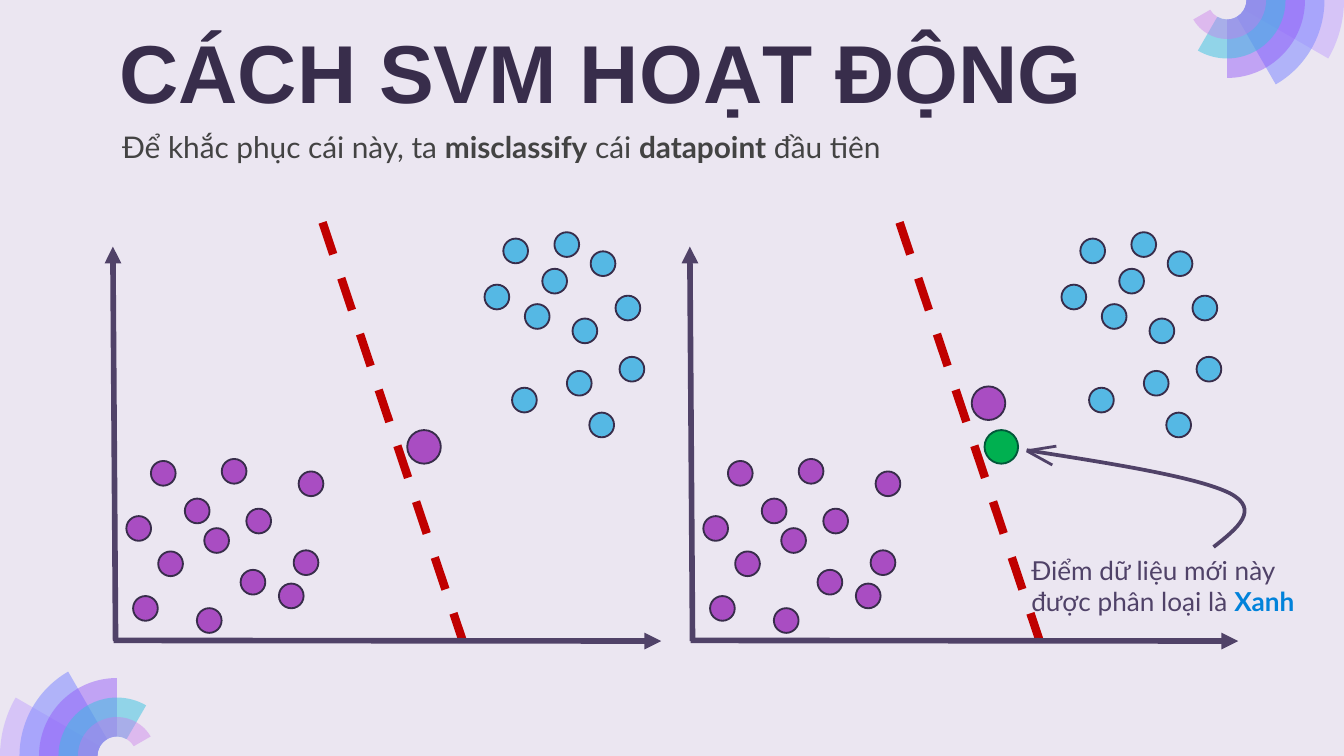
"""Build a slide comparing two support vector machine scatter plots."""
from dataclasses import dataclass
from math import cos, radians, sin, tan
from typing import Optional

from pptx import Presentation
from pptx.dml.color import RGBColor
from pptx.enum.dml import MSO_LINE
from pptx.enum.shapes import MSO_CONNECTOR, MSO_SHAPE
from pptx.enum.text import MSO_AUTO_SIZE, PP_ALIGN
from pptx.oxml.xmlchemy import OxmlElement
from pptx.util import Inches, Pt

COLUMNS, ROWS = 100, 56.25
INK, AXIS, RED = "382D4B", "504268", "C00000"
PURPLE, BLUE, GREEN = "A94DC2", "55B8E4", "00B050"
DOT, BIG_DOT = 1.84, 2.5
PANEL_STEP = 42.93
RING = 1.45
WEDGES = [("C8ACFD", 58), ("878FFF", 58), ("9154F8", 46), ("35C2DF", 49), ("CA7BEB", 42)]
PURPLE_DOTS = [(9.9, 44.35), (11.77, 41.03), (9.4, 38.4), (11.23, 34.3), (13.75, 37.1),
               (15.2, 39.3), (17.9, 42.4), (14.65, 45.25), (16.5, 34.15), (18.33, 37.85),
               (22.22, 35.08), (21.85, 40.95), (20.75, 43.42)]
BLUE_DOTS = [(43.95, 18.7), (45.8, 22.0), (46.1, 26.55), (43.85, 30.7), (38.1, 28.85),
             (42.6, 23.7), (42.18, 27.6), (39.05, 22.63), (40.35, 20.0), (41.25, 17.28),
             (37.45, 17.75), (36.05, 21.18)]
CALLOUT = [(90.3, 40.7), (92.1, 39.3), (93.8, 37.9), (91.5, 36.7),
           (89.1, 35.5), (82.8, 34.5), (76.4, 33.5)]

Point = tuple[float, float]


@dataclass
class Span:
    text: str
    bold: bool = False
    color: Optional[str] = None


@dataclass
class TextBlock:
    place: tuple[float, float, float, float]
    spans: list[Span]
    font: str
    size: float
    color: str
    align: PP_ALIGN = PP_ALIGN.LEFT
    top_inset: float = 0.5
    grow: bool = True


@dataclass
class Stroke:
    start: Point
    end: Point
    color: str
    width: float
    dashed: bool = False
    arrow: bool = False


def grid(cells: float) -> int:
    """Convert grid cells to a slide length."""
    return Inches(cells / 10)


def paint(target, color: str) -> None:
    """Give a fill a solid colour."""
    target.solid()
    target.fore_color.rgb = RGBColor.from_string(color)


def curve_point(knots: list[Point], t: float) -> Point:
    """Find the point at share t of a cubic curve."""
    weights = ((1 - t) ** 3, 3 * t * (1 - t) ** 2, 3 * t * t * (1 - t), t ** 3)
    return tuple(sum(w * knot[axis] for w, knot in zip(weights, knots)) for axis in (0, 1))


def draw_curves(page, runs: list[list[Point]], close: bool):
    """Draw runs of cubic curves joined by straight lines."""
    samples = [curve_point(run[i:i + 4], step / 20) for run in runs
               for i in range(0, len(run) - 1, 3) for step in range(21)]
    (left, right), (top, bottom) = [(min(v), max(v)) for v in zip(*samples)]
    builder = page.shapes.build_freeform(grid(left), grid(top))
    builder.add_line_segments([(grid(right), grid(bottom))], close=close)
    shape = builder.convert_to_shape()
    shape.shadow.inherit = False
    outline = shape._element.find(".//{*}pathLst")[0]
    for command in list(outline)[:2]:
        outline.remove(command)
    commands = []
    for number, run in enumerate(runs):
        commands.append(("a:lnTo" if number else "a:moveTo", run[:1]))
        commands += [("a:cubicBezTo", run[i:i + 3]) for i in range(1, len(run), 3)]
    for index, (tag, points) in enumerate(commands):
        command = OxmlElement(tag)
        for x, y in points:
            point = OxmlElement("a:pt")
            point.set("x", str(grid(x) - grid(left)))
            point.set("y", str(grid(y) - grid(top)))
            command.append(point)
        outline.insert(index, command)
    return shape


def arc(center: Point, radius: float, start: int, end: int) -> list[Point]:
    """List the knots of an arc, one cubic curve per quarter turn."""
    knots = []
    for first in range(start, end, 90):
        a, b = radians(first), radians(min(first + 90, end))
        k = 4 / 3 * tan((b - a) / 4)
        units = [(cos(a), sin(a)), (cos(a) - k * sin(a), sin(a) + k * cos(a)),
                 (cos(b) + k * sin(b), sin(b) - k * cos(b)), (cos(b), sin(b))]
        knots += units[1:] if knots else units
    return [(center[0] + radius * x, center[1] + radius * y) for x, y in knots]


def draw_fan(page, center: Point, start: int) -> None:
    """Draw overlapping ring wedges that shrink as they sweep further."""
    for index, (color, opacity) in enumerate(WEDGES):
        end = start + 30 * (index + 1)
        outer = arc(center, RING * (6 - index), start, end)
        inner = arc(center, RING, start, end)
        shape = draw_curves(page, [outer, inner[::-1]], True)
        paint(shape.fill, color)
        alpha = OxmlElement("a:alpha")
        alpha.set("val", str(opacity * 1000))
        shape.fill._xPr.find(".//{*}srgbClr").append(alpha)
        shape.line.fill.background()


def draw_stroke(page, stroke: Stroke, shift: float = 0) -> None:
    """Draw a straight line, optionally dashed or with an arrowhead."""
    (x1, y1), (x2, y2) = stroke.start, stroke.end
    line = page.shapes.add_connector(MSO_CONNECTOR.STRAIGHT, grid(x1 + shift), grid(y1),
                                     grid(x2 + shift), grid(y2))
    paint(line.line.fill, stroke.color)
    line.line.width = Pt(stroke.width)
    if stroke.dashed:
        line.line.dash_style = MSO_LINE.DASH
    if stroke.arrow:
        tail = OxmlElement("a:tailEnd")
        tail.set("type", "triangle")
        line.line._get_or_add_ln().append(tail)
    line._element.spPr.append(OxmlElement("a:effectLst"))


def draw_dot(page, corner: Point, size: float, color: str, outline: str = INK) -> None:
    """Draw one data point."""
    dot = page.shapes.add_shape(MSO_SHAPE.OVAL, *map(grid, (*corner, size, size)))
    dot.shadow.inherit = False
    paint(dot.fill, color)
    paint(dot.line.fill, outline)
    dot.line.width = Pt(1)


def draw_panel(page, shift: float) -> None:
    """Draw the boundary, axes and both clusters of one plot."""
    draw_stroke(page, Stroke((24, 16.55), (34.45, 47.75), RED, 4.5, dashed=True), shift)
    draw_stroke(page, Stroke((8.6, 47.7), (8.4, 18.35), AXIS, 3, arrow=True), shift)
    draw_stroke(page, Stroke((8.45, 47.65), (49.2, 47.7), AXIS, 3, arrow=True), shift)
    for corners, color in ((PURPLE_DOTS, PURPLE), (BLUE_DOTS, BLUE)):
        for x, y in corners:
            draw_dot(page, (x + shift, y), DOT, color)


def draw_text(page, block: TextBlock) -> None:
    """Draw a text box with one paragraph of spans."""
    box = page.shapes.add_textbox(*map(grid, block.place))
    frame = box.text_frame
    frame.word_wrap = True
    frame.margin_top = grid(block.top_inset)
    frame.auto_size = MSO_AUTO_SIZE.SHAPE_TO_FIT_TEXT if block.grow else MSO_AUTO_SIZE.NONE
    para = frame.paragraphs[0]
    para.alignment = block.align
    para.font.name, para.font.size = block.font, Pt(block.size)
    paint(para.font.fill, block.color)
    for span in block.spans:
        run = para.add_run()
        run.text = span.text
        run.font.bold = span.bold
        if span.color:
            paint(run.font.fill, span.color)


def main() -> None:
    """Build and save the deck."""
    deck = Presentation()
    deck.slide_width, deck.slide_height = grid(COLUMNS), grid(ROWS)
    page = deck.slides.add_slide(deck.slide_layouts[6])
    paint(page.background.fill, "EBE6F1")
    draw_fan(page, (RING * 6, ROWS), 180)
    draw_fan(page, (COLUMNS - RING * 6, 0), 0)
    draw_text(page, TextBlock((7.9, 0.6, 84.3, 6.3), [Span("CÁCH SVM HOẠT ĐỘNG", True)],
                              "Arial", 44, INK, top_inset=1, grow=False))
    draw_text(page, TextBlock((8.1, 9.1, 80.2, 3.7), [
        Span("Để khắc phục cái này, ta "), Span("misclassify", True), Span(" cái "),
        Span("datapoint", True), Span(" đầu tiên")], "Lato", 16, "434343", PP_ALIGN.JUSTIFY))
    for shift in (0, PANEL_STEP):
        draw_panel(page, shift)
    draw_dot(page, (30.3, 32), BIG_DOT, PURPLE)
    draw_dot(page, (73.25, 32), BIG_DOT, GREEN, "02583A")
    draw_dot(page, (72.3, 28.75), BIG_DOT, PURPLE)
    draw_text(page, TextBlock((75.75, 40.75, 23.4, 5.7), [
        Span("Điểm dữ liệu mới này được phân loại là "), Span("Xanh", True, "0182DA")],
        "Lato", 14, AXIS))
    curve = draw_curves(page, [CALLOUT], False)
    curve.fill.background()
    paint(curve.line.fill, AXIS)
    curve.line.width = Pt(2)
    for start in ((78.6, 33.2), (78.3, 34.6)):
        draw_stroke(page, Stroke(start, (76.4, 33.55), AXIS, 1.5))
    deck.save("out.pptx")


if __name__ == "__main__":
    main()
